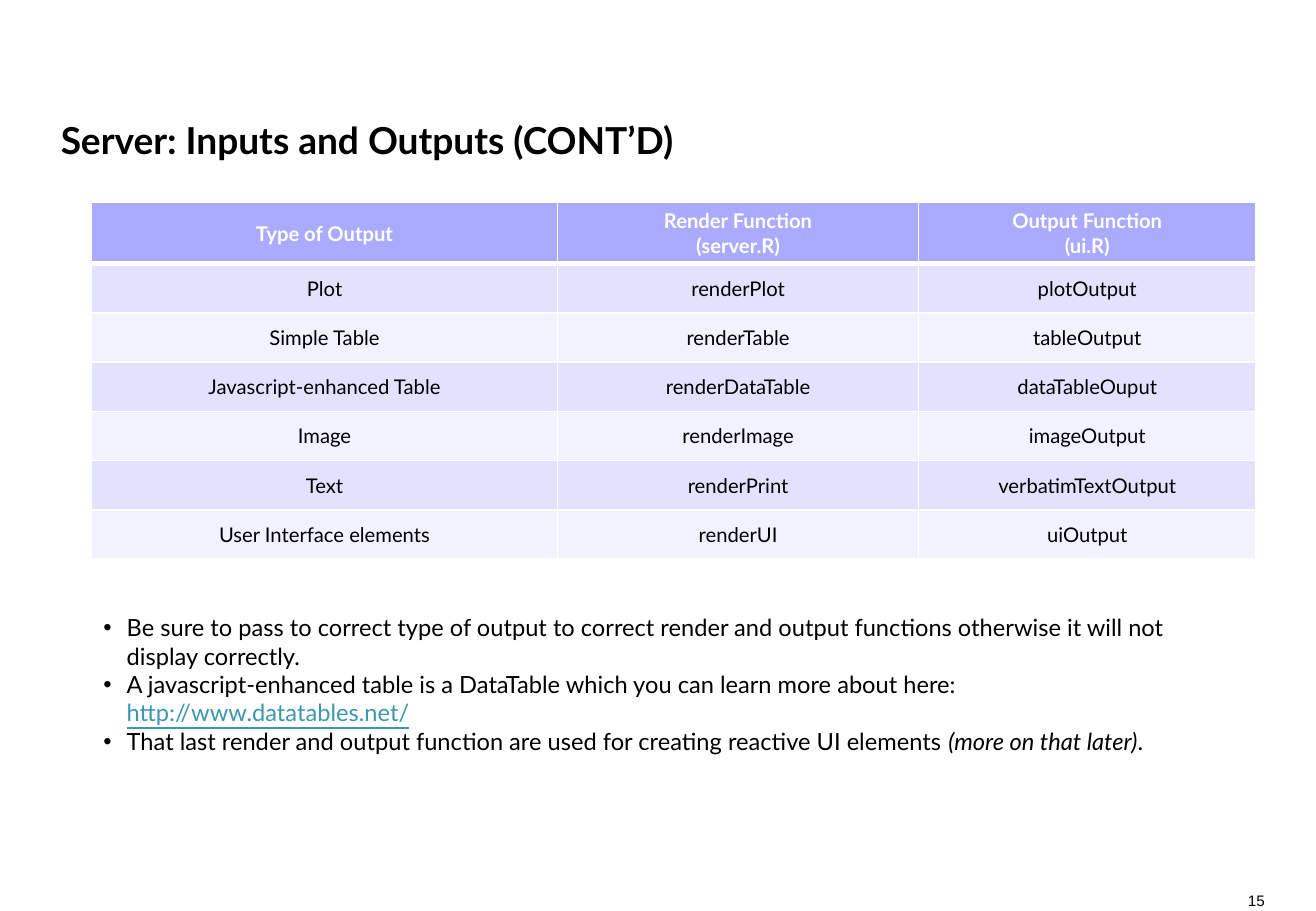
from dataclasses import dataclass

from lxml.etree import SubElement
from pptx import Presentation
from pptx.dml.color import RGBColor
from pptx.enum.text import MSO_ANCHOR as Anchor, MSO_AUTO_SIZE as AutoSize, PP_ALIGN as Align
from pptx.oxml.ns import qn
from pptx.slide import Slide
from pptx.table import _Cell as Cell
from pptx.text.text import TextFrame, _Paragraph as Paragraph, _Run as Run
from pptx.util import Cm, Pt


@dataclass(frozen=True)
class Theme:
    font: str = "Lato"
    number_font: str = "Arial"
    ink: str = "000000"
    paper: str = "FFFFFF"
    link: str = "3D97AF"
    header_fill: str = "AAAAFF"
    bands: tuple[str, str] = ("E2E2FF", "F1F1FF")
    title_size: float = 22
    body_size: float = 14
    table_size: float = 12
    number_size: float = 9
    rule: float = 1
    header_rule: float = 3


@dataclass(frozen=True)
class Output:
    kind: str
    render: str
    output: str


@dataclass(frozen=True)
class Phrase:
    text: str
    italic: bool = False
    link: bool = False


THEME = Theme()

HEADINGS = Output("Type of Output", "Render Function\n(server.R)", "Output Function\n(ui.R)")
OUTPUTS = [
    Output("Plot", "renderPlot", "plotOutput"),
    Output("Simple Table", "renderTable", "tableOutput"),
    Output("Javascript-enhanced Table", "renderDataTable", "dataTableOuput"),
    Output("Image", "renderImage", "imageOutput"),
    Output("Text", "renderPrint", "verbatimTextOutput"),
    Output("User Interface elements", "renderUI", "uiOutput"),
]
COLUMN_WIDTHS = [9.75, 7.54, 7.06]
ROW_HEIGHT = 1.03

NOTES = [
    [Phrase("Be sure to pass to correct type of output to correct render and output "
            "functions otherwise it will not display correctly.")],
    [Phrase("A javascript-enhanced table is a DataTable which you can learn more about here: "),
     Phrase("http://www.datatables.net/", link=True), Phrase(" ")],
    [Phrase("That last render and output function are used for creating reactive UI elements "),
     Phrase("(more on that later)", italic=True), Phrase(".")],
]


def style_run(run: Run, size: float, color: str = THEME.ink, bold: bool = False,
              font: str = THEME.font) -> None:
    run.font.name = font
    run.font.size = Pt(size)
    run.font.bold = bold
    run.font.color.rgb = RGBColor.from_string(color)


def clear_margins(frame: TextFrame) -> None:
    frame.margin_left = frame.margin_top = frame.margin_right = frame.margin_bottom = 0


def add_title(slide: Slide, text: str) -> None:
    title = slide.shapes.title
    title.left, title.top, title.width, title.height = Cm(1.27), Cm(1.07), Cm(24.97), Cm(2.33)
    frame = title.text_frame
    frame.text = text
    frame.auto_size = AutoSize.NONE
    frame.vertical_anchor = Anchor.BOTTOM
    clear_margins(frame)
    paragraph = frame.paragraphs[0]
    paragraph.alignment = Align.LEFT
    paragraph.line_spacing = 0.9
    style_run(paragraph.runs[0], THEME.title_size, bold=True)


def set_borders(cell: Cell, top: float, bottom: float) -> None:
    properties = cell._tc.get_or_add_tcPr()
    widths = {"a:lnL": THEME.rule, "a:lnR": THEME.rule, "a:lnT": top, "a:lnB": bottom}
    for side, width in widths.items():
        line = SubElement(properties, qn(side), w=str(Pt(width)))
        SubElement(SubElement(line, qn("a:solidFill")), qn("a:srgbClr"), val=THEME.paper)


def fill_cell(cell: Cell, text: str, row: int) -> None:
    is_header = row == 0
    set_borders(cell, THEME.header_rule if row == 1 else THEME.rule,
                THEME.header_rule if is_header else THEME.rule)
    cell.fill.solid()
    fill = THEME.header_fill if is_header else THEME.bands[(row - 1) % 2]
    cell.fill.fore_color.rgb = RGBColor.from_string(fill)
    cell.vertical_anchor = Anchor.MIDDLE
    cell.margin_left = cell.margin_right = Cm(0.28)
    cell.text_frame.text = text
    for paragraph in cell.text_frame.paragraphs:
        paragraph.alignment = Align.CENTER
        style_run(paragraph.runs[0], THEME.table_size,
                  THEME.paper if is_header else THEME.ink, is_header)


def add_output_table(slide: Slide) -> None:
    rows = [HEADINGS, *OUTPUTS]
    table = slide.shapes.add_table(len(rows), len(COLUMN_WIDTHS), Cm(1.91), Cm(4.24),
                                   Cm(sum(COLUMN_WIDTHS)), Cm(ROW_HEIGHT * len(rows))).table
    for column, width in zip(table.columns, COLUMN_WIDTHS):
        column.width = Cm(width)
    for index, entry in enumerate(rows):
        table.rows[index].height = Cm(ROW_HEIGHT)
        for column, text in enumerate((entry.kind, entry.render, entry.output)):
            fill_cell(table.cell(index, column), text, index)


def add_bullet(paragraph: Paragraph) -> None:
    properties = paragraph._p.get_or_add_pPr()
    indent = Cm(0.49)
    properties.set("marL", str(indent))
    properties.set("indent", str(-indent))
    SubElement(properties, qn("a:buFont"), typeface="Arial")
    SubElement(properties, qn("a:buChar"), char="•")


def add_notes(slide: Slide) -> None:
    frame = slide.shapes.add_textbox(Cm(1.91), Cm(12.7), Cm(24.3), Cm(2.65)).text_frame
    frame.word_wrap = True
    for index, phrases in enumerate(NOTES):
        paragraph = frame.add_paragraph() if index else frame.paragraphs[0]
        add_bullet(paragraph)
        for phrase in phrases:
            run = paragraph.add_run()
            run.text = phrase.text
            style_run(run, THEME.body_size, THEME.link if phrase.link else THEME.ink)
            run.font.italic = phrase.italic
            run.font.underline = phrase.link


def add_page_number(slide: Slide, number: int) -> None:
    frame = slide.shapes.add_textbox(Cm(26.06), Cm(18.64), Cm(0.38), Cm(0.38)).text_frame
    clear_margins(frame)
    frame.word_wrap = False
    frame.text = str(number)
    frame.paragraphs[0].alignment = Align.RIGHT
    style_run(frame.paragraphs[0].runs[0], THEME.number_size, font=THEME.number_font)


def main() -> None:
    deck = Presentation()
    deck.slide_width, deck.slide_height = Cm(27.51), Cm(19.05)
    slide = deck.slides.add_slide(deck.slide_layouts[5])
    add_title(slide, "Server: Inputs and Outputs (CONT’D)")
    add_output_table(slide)
    add_notes(slide)
    add_page_number(slide, 15)
    deck.save("out.pptx")


if __name__ == "__main__":
    main()
